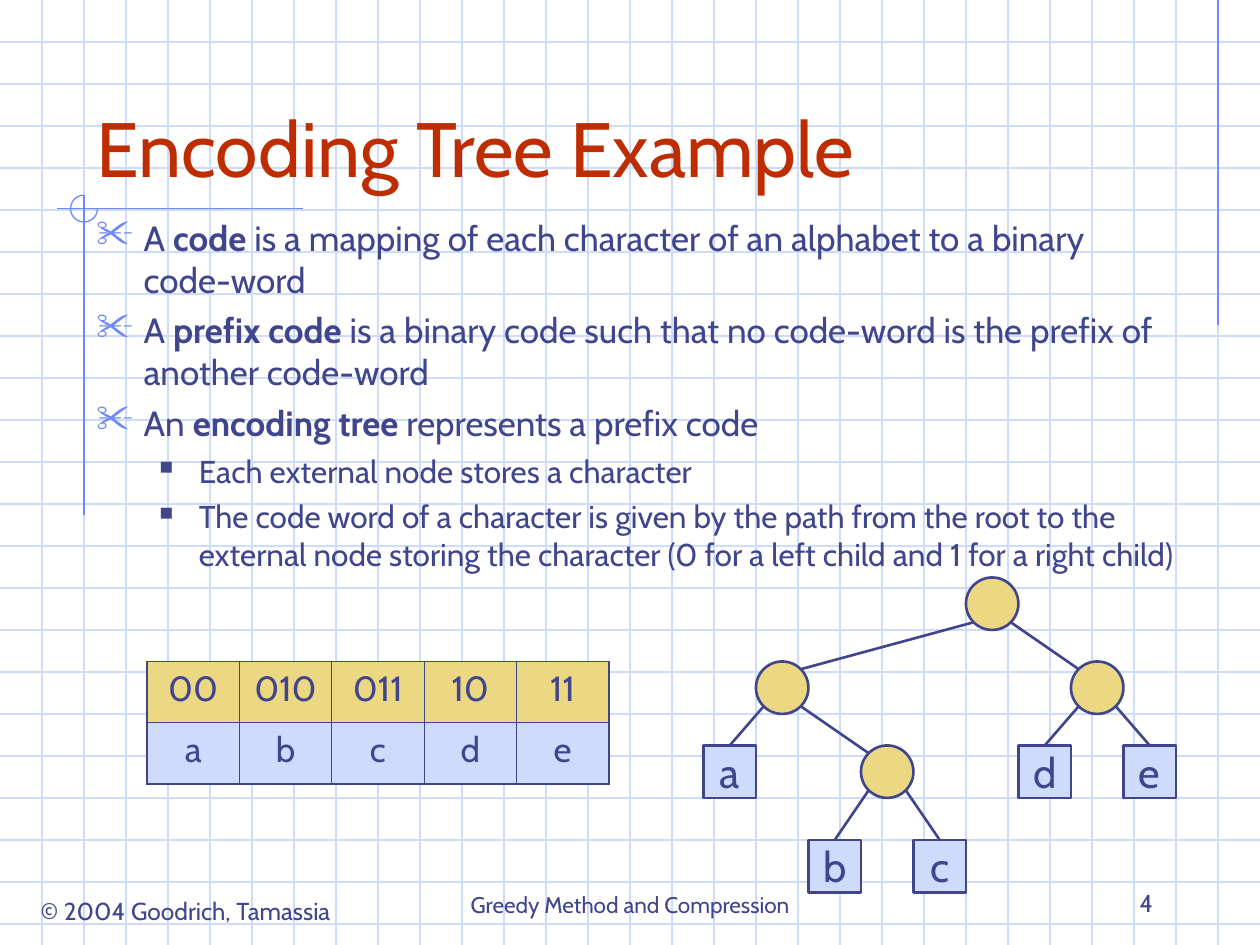
from lxml.etree import SubElement
from pptx import Presentation
from pptx.dml.color import RGBColor
from pptx.enum.shapes import MSO_CONNECTOR, MSO_SHAPE
from pptx.enum.text import MSO_ANCHOR, PP_ALIGN
from pptx.oxml.ns import qn
from pptx.util import Pt

COLORS = {"ink": "40458C", "title": "BE2D00", "grid": "CFDBFD",
          "accent": "6F89F7", "gold": "ECD882", "pale": "CFDBFD"}
RGB = {name: RGBColor.from_string(value) for name, value in COLORS.items()}

prs = Presentation()
prs.slide_width, prs.slide_height = Pt(720), Pt(540)
slide = prs.slides.add_slide(prs.slide_layouts[5])
shapes = slide.shapes


def add_line(x1, y1, x2, y2, color, width=0.75):
    line = shapes.add_connector(MSO_CONNECTOR.STRAIGHT, Pt(x1), Pt(y1), Pt(x2), Pt(y2))
    line.line.color.rgb = RGB[color]
    line.line.width = Pt(width)
    SubElement(line._element.spPr, qn("a:effectLst"))


def add_text(paragraph, text, size, color="ink", bold=False):
    run = paragraph.add_run()
    run.text = text
    formats = {"name": "Cabin", "size": Pt(size), "bold": bold}
    for key, value in formats.items():
        setattr(run.font, key, value)
    run.font.color.rgb = RGB[color]


# Graph paper and margin marks
for y in range(24, 540, 24):
    add_line(0, y, 720, y, "grid")
for x in range(24, 720, 24):
    add_line(x, 0, x, 540, "grid")
for ends in [(696, 0, 696, 186), (173, 119.2, 32.5, 119.2), (48, 111.5, 48, 294.5)]:
    add_line(*ends, "accent")
corner = shapes.add_shape(MSO_SHAPE.ARC, Pt(40.3), Pt(111.5), Pt(15.4), Pt(15.4))
corner.adjustments[0], corner.adjustments[1] = 0, 162  # 0° to 270°
corner.shadow.inherit = False
corner.fill.background()
corner.line.color.rgb = RGB["accent"]
corner.line.width = Pt(0.75)

# Title, brought in front of the graph paper
title = shapes.title
shapes._spTree.append(title._element)
for key, value in {"left": 48, "top": 24, "width": 612, "height": 90}.items():
    setattr(title, key, Pt(value))
title.text_frame.vertical_anchor = MSO_ANCHOR.BOTTOM
heading = title.text_frame.paragraphs[0]
heading.alignment = PP_ALIGN.LEFT
add_text(heading, "Encoding Tree Example", 44, "title")

# Footer
FOOTER = [
    ("© 2004 Goodrich, Tamassia", 14, (8.6, 508.3, 195, 24.5), PP_ALIGN.CENTER, MSO_ANCHOR.TOP),
    ("Greedy Method and Compression", 12.9, (246, 492, 228, 36), PP_ALIGN.CENTER, MSO_ANCHOR.BOTTOM),
    ("4", 14, (516, 492, 150, 36), PP_ALIGN.RIGHT, MSO_ANCHOR.BOTTOM),
]
for text, size, place, align, anchor in FOOTER:
    frame = shapes.add_textbox(*map(Pt, place)).text_frame
    frame.word_wrap = True
    frame.vertical_anchor = anchor
    frame.paragraphs[0].alignment = align
    add_text(frame.paragraphs[0], text, size)

# Definitions: (level, start, bold term, rest)
DEFINITIONS = [
    (0, "A ", "code", " is a mapping of each character of an alphabet to a binary code-word"),
    (0, "A ", "prefix code",
     " is a binary code such that no code-word is the prefix of another code-word"),
    (0, "An ", "encoding tree", " represents a prefix code"),
    (1, "Each external node stores a character", "", ""),
    (1, "The code word of a character is given by the path from the root to the external node "
        "storing the character (0 for a left child and 1 for a right child)", "", ""),
]
LEVELS = [
    {"size": 20, "before": 5, "left": 27, "hang": 27, "mark": "✂", "color": "accent", "scale": 110},
    {"size": 18, "before": 4.5, "left": 58.5, "hang": 22.5, "mark": "■", "color": "ink", "scale": 60},
]
definitions = shapes.add_textbox(Pt(48), Pt(120), Pt(630), Pt(234)).text_frame
definitions.word_wrap = True
for index, (level, start, term, rest) in enumerate(DEFINITIONS):
    style = LEVELS[level]
    paragraph = definitions.add_paragraph() if index else definitions.paragraphs[0]
    paragraph.level = level
    props = paragraph._p.get_or_add_pPr()
    props.set("marL", str(Pt(style["left"])))
    props.set("indent", str(-Pt(style["hang"])))
    bullet_color = SubElement(props, qn("a:buClr"))
    SubElement(bullet_color, qn("a:srgbClr"), val=COLORS[style["color"]])
    SubElement(props, qn("a:buSzPct"), val=str(style["scale"] * 1000))
    SubElement(props, qn("a:buChar"), char=style["mark"])
    if index:
        paragraph.space_before = Pt(style["before"])
    for text, bold in [(start, False), (term, True), (rest, False)]:
        if text:
            add_text(paragraph, text, style["size"], bold=bold)

# Encoding tree: top left corner of each node, letters are external nodes
SIDE = 30
DIAGONAL = 10.6  # offset of a 45° point on a circle from its centre
NODES = {
    "root": (552, 330), "right": (612, 378), "left": (432, 378), "inner": (492, 426),
    "a": (402, 426), "b": (462, 480), "c": (522, 480), "d": (582, 426), "e": (642, 426),
}
CHILDREN = {"root": ("left", "right"), "left": ("a", "inner"),
            "right": ("d", "e"), "inner": ("b", "c")}
for name, (x, y) in NODES.items():
    internal = name in CHILDREN
    kind = MSO_SHAPE.OVAL if internal else MSO_SHAPE.RECTANGLE
    node = shapes.add_shape(kind, Pt(x), Pt(y), Pt(SIDE), Pt(SIDE))
    node.shadow.inherit = False
    node.fill.solid()
    node.fill.fore_color.rgb = RGB["gold" if internal else "pale"]
    node.line.color.rgb = RGB["ink"]
    node.line.width = Pt(1.5)
    if not internal:
        node.text_frame.word_wrap = False
        node.text_frame.vertical_anchor = MSO_ANCHOR.MIDDLE
        node.text_frame.paragraphs[0].alignment = PP_ALIGN.CENTER
        add_text(node.text_frame.paragraphs[0], name, 24)

for parent, children in CHILDREN.items():
    parent_x, parent_y = (corner_at + SIDE / 2 for corner_at in NODES[parent])
    for child, direction in zip(children, (-1, 1)):
        child_x, child_y = NODES[child][0] + SIDE / 2, NODES[child][1]
        if child in CHILDREN:
            child_x -= direction * DIAGONAL
            child_y += SIDE / 2 - DIAGONAL
        add_line(parent_x + direction * DIAGONAL, parent_y + DIAGONAL,
                 child_x, child_y, "ink", 1.5)

# Code table
CODES = [["00", "010", "011", "10", "11"], ["a", "b", "c", "d", "e"]]
rows, cols = len(CODES), len(CODES[0])
codes = shapes.add_table(rows, cols, Pt(84), Pt(378), Pt(264), Pt(70)).table
for row, (values, fill) in enumerate(zip(CODES, ("gold", "pale"))):
    codes.rows[row].height = Pt(35)
    for col, value in enumerate(values):
        cell = codes.cell(row, col)
        cell.text_frame.paragraphs[0].alignment = PP_ALIGN.CENTER
        add_text(cell.text_frame.paragraphs[0], value, 20)
        outer = {"a:lnL": col == 0, "a:lnR": col == cols - 1,
                 "a:lnT": row == 0, "a:lnB": row == rows - 1}
        props = cell._tc.get_or_add_tcPr()
        for tag, is_outer in outer.items():
            border = SubElement(props, qn(tag), w=str(Pt(1.08 if is_outer else 0.45)))
            SubElement(SubElement(border, qn("a:solidFill")), qn("a:srgbClr"), val=COLORS["ink"])
        cell.fill.solid()
        cell.fill.fore_color.rgb = RGB[fill]

prs.save("out.pptx")
